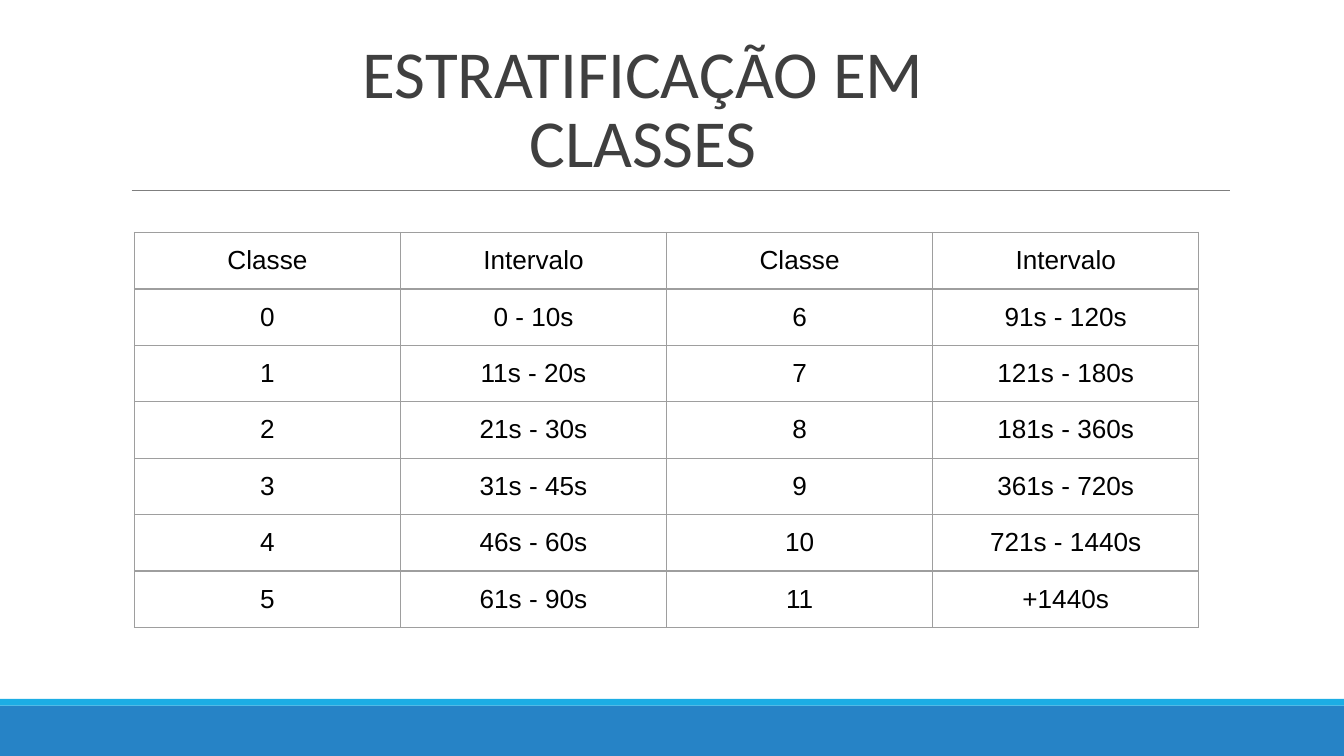
"""Build the slide that lists the time classes and their intervals."""
import pptx
import pptx.dml.color
import pptx.enum.shapes
import pptx.enum.text
import pptx.oxml
import pptx.oxml.ns
import pptx.util
from lxml import etree

Inches = pptx.util.Inches
Pt = pptx.util.Pt
RGBColor = pptx.dml.color.RGBColor

WHITE = RGBColor(0xFF, 0xFF, 0xFF)
BLACK = RGBColor(0x00, 0x00, 0x00)
TITLE_GRAY = RGBColor(0x3F, 0x3F, 0x3F)
RULE_GRAY = RGBColor(0x7F, 0x7F, 0x7F)
BORDER_GRAY = RGBColor(0x9E, 0x9E, 0x9E)
BLUE = RGBColor(0x26, 0x83, 0xC6)
CYAN = RGBColor(0x1C, 0xAD, 0xE4)

SLIDE_WIDTH = Inches(10)
SLIDE_HEIGHT = SLIDE_WIDTH * 9 // 16

CLASS_ROWS = [
    ("Classe", "Intervalo", "Classe", "Intervalo"),
    ("0", "0 - 10s", "6", "91s - 120s"),
    ("1", "11s - 20s", "7", "121s - 180s"),
    ("2", "21s - 30s", "8", "181s - 360s"),
    ("3", "31s - 45s", "9", "361s - 720s"),
    ("4", "46s - 60s", "10", "721s - 1440s"),
    ("5", "61s - 90s", "11", "+1440s"),
]


class SlideBuilder:
    """Hold the style and the current slide, and add elements to it."""

    title_font = "Calibri"
    body_font = "Arial"
    line_width = Pt(0.75)

    def __init__(self, presentation):
        self.slide = presentation.slides.add_slide(presentation.slide_layouts[5])
        self.slide.background.fill.solid()
        self.slide.background.fill.fore_color.rgb = WHITE

    def format_text(self, text_frame, font_name, size, color):
        """Centre the paragraphs and style their runs."""
        for paragraph in text_frame.paragraphs:
            paragraph.alignment = pptx.enum.text.PP_ALIGN.CENTER
            for run in paragraph.runs:
                run.font.name = font_name
                run.font.size = Pt(size)
                run.font.bold = False
                run.font.color.rgb = color

    def add_title(self, text, left, top, width, height):
        """Place and format the title placeholder."""
        title = self.slide.shapes.title
        title.left, title.top = Inches(left), Inches(top)
        title.width, title.height = Inches(width), Inches(height)
        text_frame = title.text_frame
        text_frame.text = text
        text_frame.word_wrap = True
        text_frame.auto_size = pptx.enum.text.MSO_AUTO_SIZE.NONE
        text_frame.vertical_anchor = pptx.enum.text.MSO_ANCHOR.MIDDLE
        text_frame.margin_left = text_frame.margin_right = Inches(0.07)
        text_frame.margin_top = text_frame.margin_bottom = Inches(0.04)
        text_frame.paragraphs[0].line_spacing = 0.85
        self.format_text(text_frame, self.title_font, 36, TITLE_GRAY)

    def add_band(self, top, bottom, color):
        """Add a plain band across the whole slide."""
        band = self.slide.shapes.add_shape(
            pptx.enum.shapes.MSO_SHAPE.RECTANGLE,
            0, top, SLIDE_WIDTH, bottom - top)
        band.shadow.inherit = False
        band.fill.solid()
        band.fill.fore_color.rgb = color
        band.line.fill.background()

    def add_rule(self, left, right, top):
        """Add a thin horizontal line."""
        rule = self.slide.shapes.add_connector(
            pptx.enum.shapes.MSO_CONNECTOR.STRAIGHT,
            Inches(left), Inches(top), Inches(right), Inches(top))
        rule.line.color.rgb = RULE_GRAY
        rule.line.width = self.line_width
        etree.SubElement(rule._element.spPr, pptx.oxml.ns.qn("a:effectLst"))

    def add_borders(self, cell):
        """Draw the four borders of a table cell."""
        properties = cell._tc.get_or_add_tcPr()
        for side in ("lnL", "lnR", "lnT", "lnB"):
            properties.append(pptx.oxml.parse_xml(
                f'<a:{side} {pptx.oxml.ns.nsdecls("a")} w="{self.line_width}">'
                f'<a:solidFill><a:srgbClr val="{BORDER_GRAY}"/></a:solidFill>'
                f'</a:{side}>'))

    def add_table(self, rows, left, top, column_width, row_height):
        """Add a bordered table with equal columns and rows."""
        row_count, column_count = len(rows), len(rows[0])
        table = self.slide.shapes.add_table(
            row_count, column_count, Inches(left), Inches(top),
            Inches(column_width * column_count),
            Inches(row_height * row_count)).table
        table.first_row = table.horz_banding = False
        for row, texts in zip(table.rows, rows):
            for cell, text in zip(row.cells, texts):
                cell.text_frame.text = text
                cell.margin_left = cell.margin_right = Inches(0.1)
                cell.margin_top = cell.margin_bottom = Inches(0.1)
                self.add_borders(cell)
                cell.fill.background()
                self.format_text(cell.text_frame, self.body_font, 14, BLACK)


def main():
    """Create the presentation and save it."""
    presentation = pptx.Presentation()
    presentation.slide_width = SLIDE_WIDTH
    presentation.slide_height = SLIDE_HEIGHT
    builder = SlideBuilder(presentation)
    builder.add_band(Inches(5.25), SLIDE_HEIGHT, BLUE)
    builder.add_band(Inches(5.2), Inches(5.25), CYAN)
    builder.add_rule(0.98, 9.15, 1.42)
    builder.add_title("ESTRATIFICAÇÃO EM CLASSES", 2.21, 0.24, 5.15, 1.19)
    builder.add_table(CLASS_ROWS, 1, 1.73, 1.98, 0.42)
    presentation.save("out.pptx")


if __name__ == "__main__":
    main()
